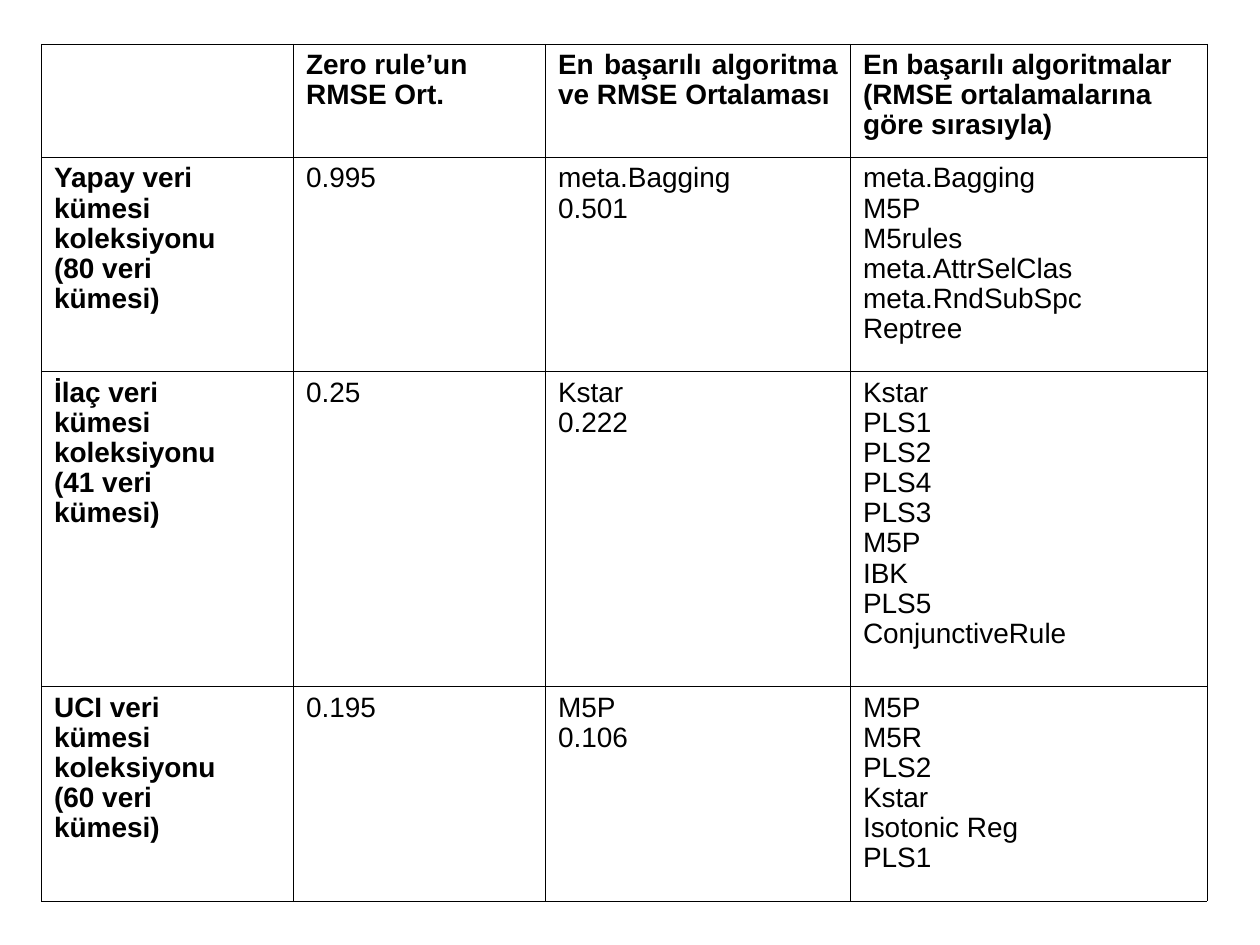
from dataclasses import dataclass

from lxml.etree import SubElement
from pptx import Presentation
from pptx.dml.color import RGBColor
from pptx.enum.text import PP_ALIGN as Align
from pptx.oxml.ns import qn
from pptx.util import Inches, Pt

BLACK = RGBColor(0x00, 0x00, 0x00)
FONT_NAME, FONT_SIZE = "Arial", Pt(16)
BORDER_WIDTH = Pt(0.45)
HANGING_INDENT = Inches(0.38)
LINE_SPACING = 0.97

SLIDE_WIDTH, SLIDE_HEIGHT = Inches(10), Inches(7.5)
TABLE_LEFT, TABLE_TOP = Inches(0.33), Inches(0.35)
COLUMN_WIDTHS = [Inches(width) for width in (2, 2, 2.42, 2.83)]
ROW_HEIGHTS = [Inches(height) for height in (0.9, 1.7, 2.5, 1.7)]


@dataclass(frozen=True)
class Entry:
    """Lines of one table cell."""
    lines: tuple[str, ...] = ()
    bold: bool = False
    align: Align = Align.JUSTIFY


def heading(*lines: str) -> Entry:
    return Entry(lines, bold=True)


def collection(name: str, count: int) -> Entry:
    return heading(f"{name} veri ", "kümesi ", "koleksiyonu",
                   f"({count} veri ", "kümesi)")


def values(*lines: str, align: Align = Align.JUSTIFY) -> Entry:
    return Entry(lines, align=align)


ROWS = [
    [Entry(),
     heading("Zero rule’un ", "RMSE Ort."),
     heading("En başarılı algoritma ", "ve RMSE Ortalaması"),
     heading("En başarılı algoritmalar ", "(RMSE ortalamalarına ",
             "göre sırasıyla)")],
    [collection("Yapay", 80),
     values("0.995"),
     values("meta.Bagging", "0.501"),
     values("meta.Bagging ", "M5P", "M5rules", "meta.AttrSelClas",
            "meta.RndSubSpc", "Reptree")],
    [collection("İlaç", 41),
     values("0.25"),
     values("Kstar ", "0.222"),
     values("Kstar", "PLS1", "PLS2", "PLS4", "PLS3", "M5P", "IBK", "PLS5",
            "ConjunctiveRule", align=Align.LEFT)],
    [collection("UCI", 60),
     values("0.195"),
     values("M5P", "0.106", align=Align.LEFT),
     values("M5P", "M5R", "PLS2", "Kstar", "Isotonic Reg", "PLS1",
            align=Align.LEFT)],
]


def draw_borders(cell) -> None:
    properties = cell._tc.get_or_add_tcPr()
    for side in ("lnL", "lnR", "lnT", "lnB"):
        line = SubElement(properties, qn(f"a:{side}"), w=str(BORDER_WIDTH))
        fill = SubElement(line, qn("a:solidFill"))
        SubElement(fill, qn("a:srgbClr"), val=str(BLACK))


def fill_cell(cell, entry: Entry) -> None:
    cell.margin_left = cell.margin_right = Inches(0.1)
    cell.margin_top = cell.margin_bottom = Inches(0.05)
    draw_borders(cell)
    cell.fill.background()
    frame = cell.text_frame
    frame.text = "\n".join(entry.lines)
    for para in frame.paragraphs:
        para.alignment = entry.align
        para.line_spacing = LINE_SPACING
        properties = para._p.get_or_add_pPr()
        properties.set("marL", str(HANGING_INDENT))
        properties.set("indent", str(-HANGING_INDENT))
        font = para.font
        font.name, font.size, font.bold = FONT_NAME, FONT_SIZE, entry.bold
        font.color.rgb = BLACK


def draw_results_table(page) -> None:
    table = page.shapes.add_table(
        len(ROWS), len(COLUMN_WIDTHS), TABLE_LEFT, TABLE_TOP,
        sum(COLUMN_WIDTHS), sum(ROW_HEIGHTS)).table
    table.first_row = table.horz_banding = False
    for column, width in zip(table.columns, COLUMN_WIDTHS):
        column.width = width
    for row, height, entries in zip(table.rows, ROW_HEIGHTS, ROWS):
        row.height = height
        for cell, entry in zip(row.cells, entries):
            fill_cell(cell, entry)


def main() -> None:
    deck = Presentation()
    deck.slide_width, deck.slide_height = SLIDE_WIDTH, SLIDE_HEIGHT
    page = deck.slides.add_slide(deck.slide_layouts[6])  # blank layout
    draw_results_table(page)
    deck.save("out.pptx")


if __name__ == "__main__":
    main()
